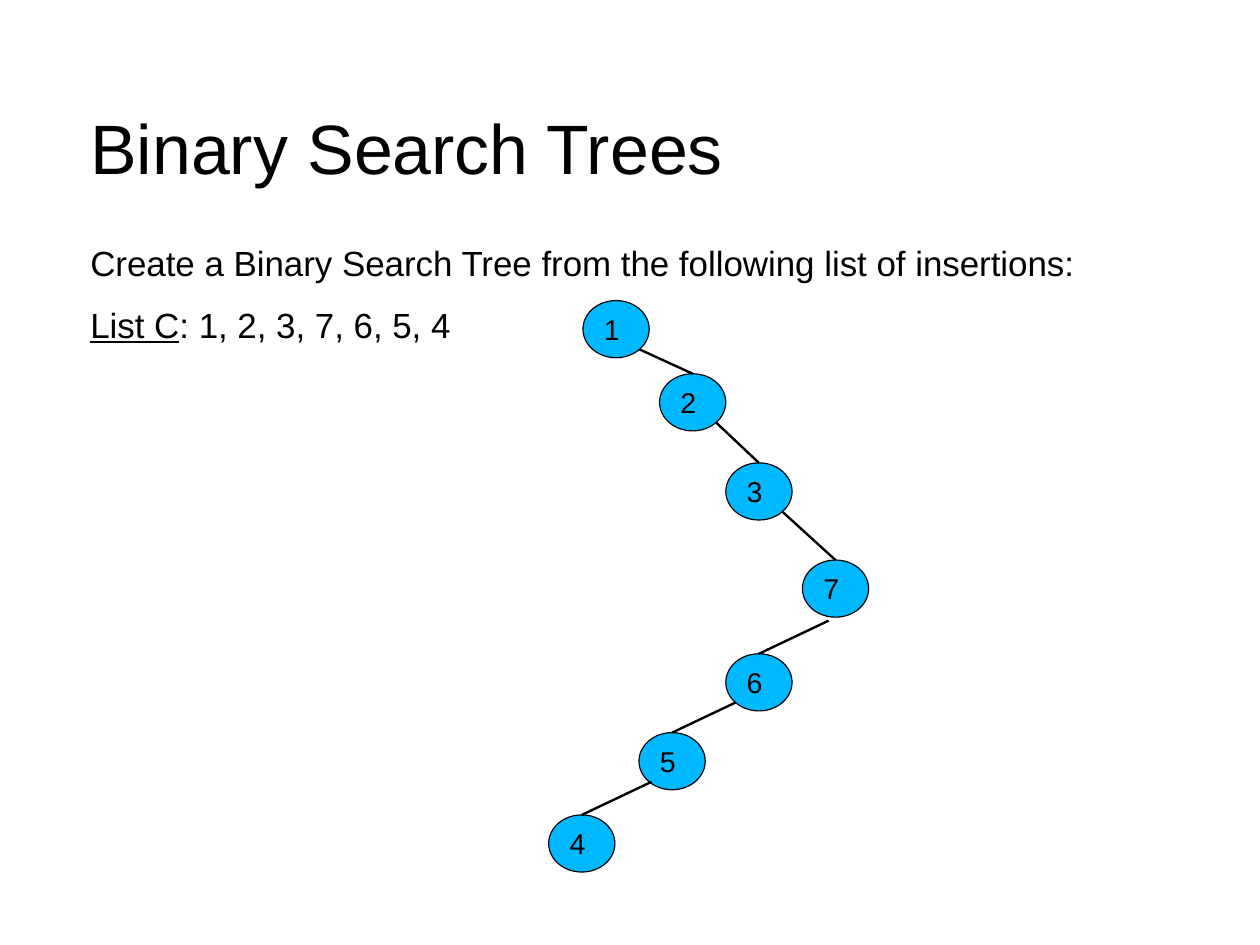
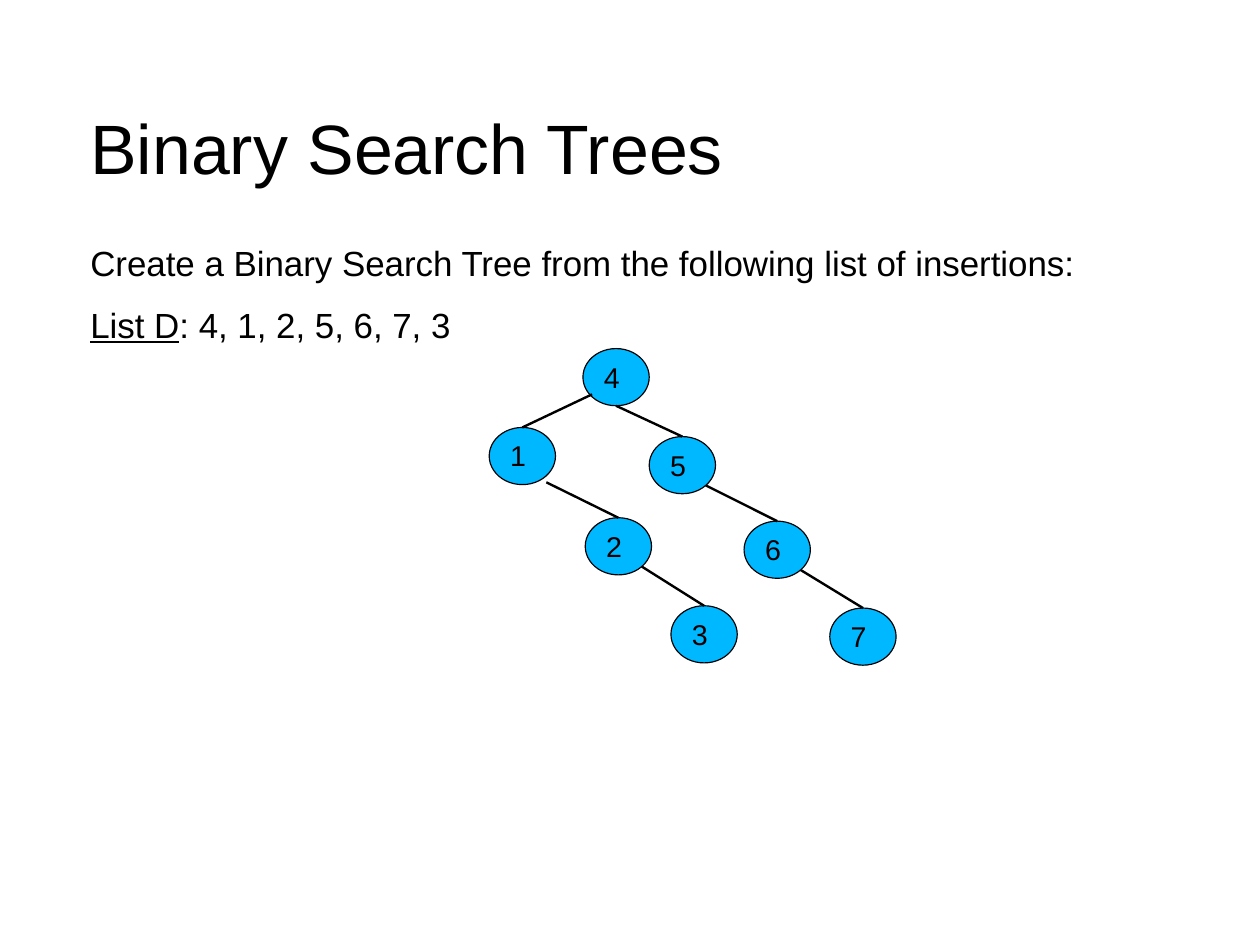
from dataclasses import dataclass
from lxml.etree import SubElement
from pptx import Presentation
from pptx.dml.color import RGBColor
from pptx.enum.shapes import MSO_CONNECTOR, MSO_SHAPE
from pptx.enum.text import MSO_ANCHOR, PP_ALIGN
from pptx.oxml.ns import qn
from pptx.util import Cm, Inches, Pt


@dataclass(frozen=True)
class Theme:
    ink: RGBColor = RGBColor(0, 0, 0)
    node: RGBColor = RGBColor(0x00, 0xB8, 0xFF)
    font: str = "Arial"
    title: int = 44
    body: int = 22
    label: int = 18
    spacing: float = 0.93
    after: float = 14.2
    outline: float = 0.75
    edge: float = 1.5


THEME = Theme()
NODE_W, NODE_H = 0.58, 0.5
DIAG = 0.5 ** 0.5

# Node places are left and top; starts holds edges that leave off the rim's diagonal.
TREES = [
    dict(
        name="List C",
        keys=[1, 2, 3, 7, 6, 5, 4],
        places={1: (5.1, 2.63), 2: (5.77, 3.27), 3: (6.35, 4.05), 7: (7.02, 4.9),
                6: (6.35, 5.72), 5: (5.59, 6.41), 4: (4.8, 7.13)},
        starts={(7, 6): (7.25, 5.43), (5, 4): (5.7, 6.84)},
    ),
    dict(
        name="List D",
        keys=[4, 1, 2, 5, 6, 7, 3],
        places={4: (5.1, 3.05), 1: (4.28, 3.74), 2: (5.12, 4.53), 5: (5.68, 3.82),
                6: (6.51, 4.56), 7: (7.26, 5.32), 3: (5.87, 5.3)},
        starts={(4, 5): (5.39, 3.55), (4, 1): (5.18, 3.45), (1, 2): (4.78, 4.22)},
    ),
]


def write(para, text, size, underline=False, after=0):
    para.alignment = PP_ALIGN.LEFT
    para.line_spacing = THEME.spacing
    para.space_before = Pt(0)
    para.space_after = Pt(after)
    run = para.add_run()
    run.text = text
    font = run.font
    font.name, font.size, font.underline = THEME.font, Pt(size), underline
    font.color.rgb = THEME.ink


def inset(frame, top):
    frame.word_wrap = True
    frame.margin_left = frame.margin_right = frame.margin_bottom = 0
    frame.margin_top = Inches(top)


def add_title(slide, text):
    title = slide.shapes.title
    title.left, title.top = Inches(0.79), Inches(0.62)
    title.width, title.height = Inches(9.25), Inches(1.37)
    frame = title.text_frame
    inset(frame, 0.04)
    frame.vertical_anchor = MSO_ANCHOR.MIDDLE
    write(frame.paragraphs[0], text, THEME.title)


def add_task(slide, name, keys):
    box = slide.shapes.add_textbox(Inches(0.79), Inches(2.13), Inches(9.68), Inches(5.26))
    frame = box.text_frame
    inset(frame, 0.02)
    write(frame.paragraphs[0],
          "Create a Binary Search Tree from the following list of insertions:",
          THEME.body, after=THEME.after)
    para = frame.add_paragraph()
    write(para, name, THEME.body, underline=True, after=THEME.after)
    write(para, ": " + ", ".join(map(str, keys)), THEME.body, after=THEME.after)


def add_node(slide, key, place):
    left, top = place
    node = slide.shapes.add_shape(MSO_SHAPE.OVAL, Inches(left), Inches(top),
                                  Inches(NODE_W), Inches(NODE_H))
    node.shadow.inherit = False
    node.fill.solid()
    node.fill.fore_color.rgb = THEME.node
    node.line.color.rgb = THEME.ink
    node.line.width = Pt(THEME.outline)
    frame = node.text_frame
    frame.vertical_anchor = MSO_ANCHOR.TOP
    write(frame.paragraphs[0], str(key), THEME.label)
    return node


def add_edge(slide, start, child):
    x, y = map(Inches, start)
    edge = slide.shapes.add_connector(MSO_CONNECTOR.STRAIGHT, x, y, x, y)
    edge.end_connect(child, 0)
    edge.line.color.rgb = THEME.ink
    edge.line.width = Pt(THEME.edge)
    SubElement(edge._element.spPr, qn("a:effectLst"))


def links(keys):
    """Yield (parent, child) pairs made by inserting the keys in order."""
    for i, key in enumerate(keys[1:], 1):
        seen = keys[:i]
        near = [max((k for k in seen if k < key), default=None),
                min((k for k in seen if k > key), default=None)]
        yield max((k for k in near if k is not None), key=seen.index), key


def rim(place, side):
    """Return the lower diagonal point of a node, side -1 left or 1 right."""
    left, top = place
    return (left + NODE_W / 2 * (1 + side * DIAG), top + NODE_H / 2 * (1 + DIAG))


def add_tree(slide, keys, places, starts):
    nodes = {key: add_node(slide, key, places[key]) for key in keys}
    for pair in links(keys):
        parent, child = pair
        side = 1 if child > parent else -1
        start = starts.get(pair) or rim(places[parent], side)
        add_edge(slide, start, nodes[child])


def main():
    deck = Presentation()
    deck.slide_width, deck.slide_height = Cm(28), Cm(21)
    for tree in TREES:
        slide = deck.slides.add_slide(deck.slide_layouts[5])
        add_title(slide, "Binary Search Trees")
        add_task(slide, tree["name"], tree["keys"])
        add_tree(slide, tree["keys"], tree["places"], tree["starts"])
    deck.save("out.pptx")


if __name__ == "__main__":
    main()
